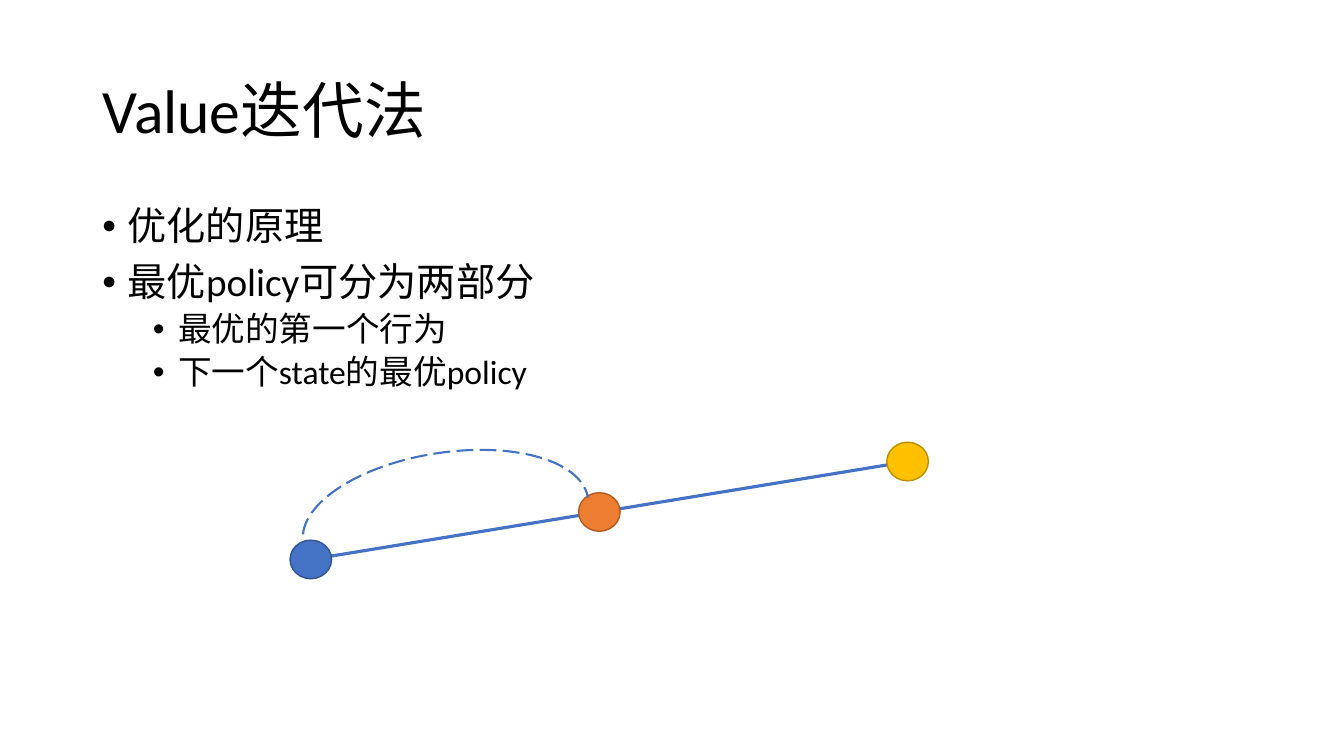
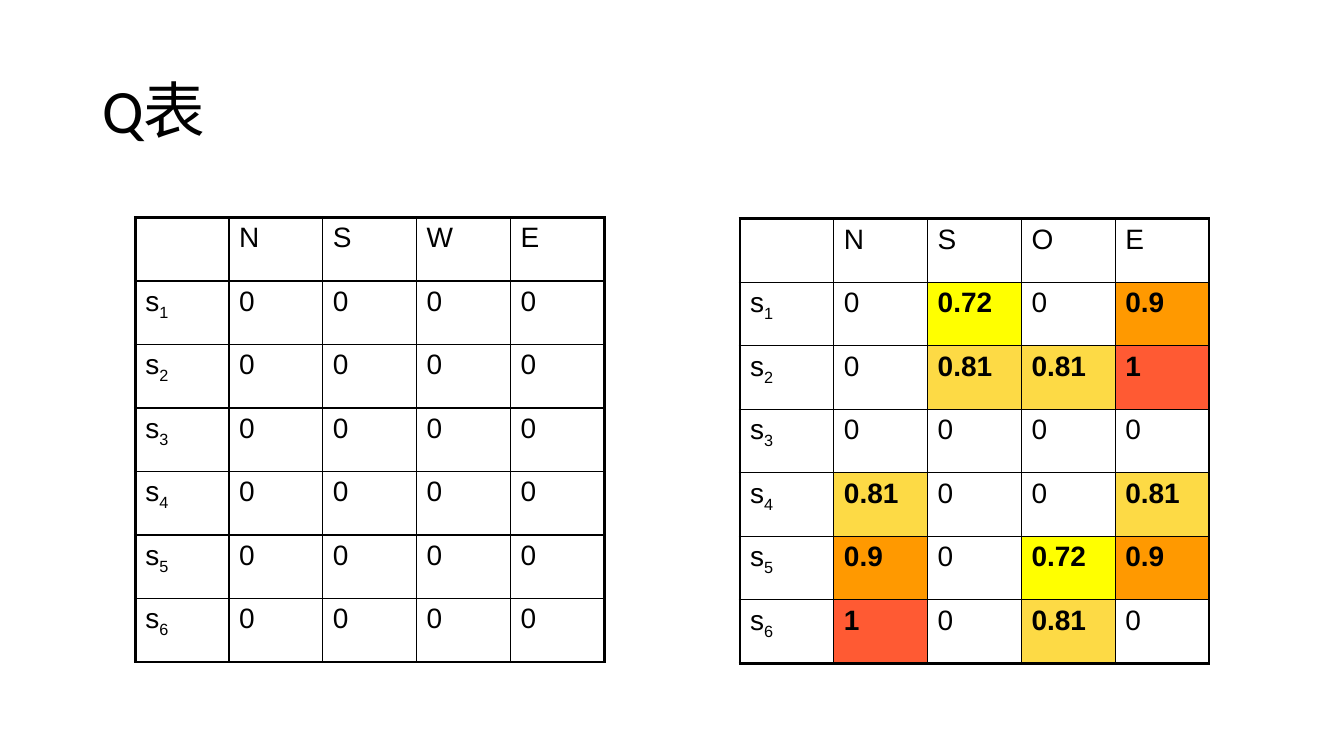
"""Build two slides on value iteration: the policy split and the Q tables."""
from dataclasses import dataclass
from typing import NamedTuple

from lxml.etree import SubElement
from pptx import Presentation
from pptx.dml.color import RGBColor
from pptx.enum.dml import MSO_LINE_DASH_STYLE as Dash
from pptx.enum.shapes import MSO_CONNECTOR as Connector, MSO_SHAPE as Preset
from pptx.enum.text import MSO_ANCHOR as Anchor, MSO_AUTO_SIZE as AutoSize, PP_ALIGN as Align
from pptx.oxml.ns import qn
from pptx.util import Inches, Pt

COLUMNS, ROWS = 160, 90
UNIT = Inches(13.33) / COLUMNS
TITLE_LAYOUT, LIST_LAYOUT = 5, 1
BLACK, WHITE, BLUE = "000000", "FFFFFF", "4472C4"
VALUE_FILLS = {"0.72": "FFFF00", "0.81": "FDDA45", "0.9": "FF9900", "1": "FF5A33"}
OUTER_BORDER, INNER_BORDER = 2.25, 1


class Box(NamedTuple):
    left: float
    top: float
    width: float
    height: float


class Level(NamedTuple):
    size: int
    indent: float
    space_before: int


@dataclass
class Node:
    column: float
    row: float
    fill: str
    line: str


@dataclass
class QTable:
    left: float
    top: float
    actions: str
    values: list[str]


TITLE_BOX = Box(11, 4.8, 138, 17.4)
LIST_BOX = Box(11, 24, 138, 57.1)
ARC_BOX = Box(35.9, 53.9, 34.3, 16)
NODE_WIDTH, NODE_HEIGHT = 4.95, 4.6
CELL_WIDTH, CELL_HEIGHT = 11.17, 7.56
LEVELS = [Level(28, 0.25, 10), Level(24, 0.75, 5)]
LIST_ITEMS = [
    ("优化的原理", 0),
    ("最优policy可分为两部分", 0),
    ("最优的第一个行为", 1),
    ("下一个state的最优policy", 1),
]
NODES = [
    Node(37, 66.6, BLUE, "325491"),
    Node(108.05, 54.95, "FFC000", "BD8E00"),
    Node(71.35, 60.95, "ED7D31", "AF5C24"),
]
Q_TABLES = [
    QTable(88.1, 26.05, "NSOE", [
        "0 0.72 0 0.9",
        "0 0.81 0.81 1",
        "0 0 0 0",
        "0.81 0 0 0.81",
        "0.9 0 0.72 0.9",
        "1 0 0.81 0",
    ]),
    QTable(16.1, 25.9, "NSWE", ["0 0 0 0"] * 6),
]


def grid(count: float) -> int:
    """Return the length of a number of grid units."""
    return round(count * UNIT)


def color(value: str) -> RGBColor:
    """Return the colour of a hex string."""
    return RGBColor.from_string(value)


def place(shape, box: Box) -> None:
    """Move and size a shape on the grid."""
    shape.left, shape.top, shape.width, shape.height = map(grid, box)


def style_font(font, name: str, size: float, bold: bool = False) -> None:
    """Set the face, size and weight of black text."""
    font.name, font.size, font.bold = name, Pt(size), bold
    font.color.rgb = color(BLACK)


def style_line(line, value: str, width: float) -> None:
    """Set the colour and width of a line."""
    line.color.rgb = color(value)
    line.width = Pt(width)


def add_slide(presentation, layout: int, title: str):
    """Add a slide with the shared title style."""
    slide = presentation.slides.add_slide(presentation.slide_layouts[layout])
    shape = slide.shapes.title
    place(shape, TITLE_BOX)
    frame = shape.text_frame
    frame.text = title
    frame.auto_size = AutoSize.NONE
    frame.vertical_anchor = Anchor.MIDDLE
    paragraph = frame.paragraphs[0]
    paragraph.alignment = Align.LEFT
    paragraph.line_spacing = 0.9
    style_font(paragraph.font, "Calibri", 44)
    return slide


def fill_list(shape, items: list[tuple[str, int]]) -> None:
    """Write bulleted items into a body placeholder."""
    place(shape, LIST_BOX)
    frame = shape.text_frame
    frame.text = "\n".join(text for text, _ in items)
    frame.auto_size = AutoSize.NONE
    for paragraph, (_, depth) in zip(frame.paragraphs, items):
        level = LEVELS[depth]
        paragraph.level = depth
        paragraph.line_spacing = 0.9
        paragraph.space_before = Pt(level.space_before)
        style_font(paragraph.font, "Calibri", level.size)
        properties = paragraph._p.get_or_add_pPr()
        properties.set("marL", str(Inches(level.indent)))
        properties.set("indent", str(-Inches(0.25)))
        bullet_font = properties.makeelement(qn("a:buFont"), {"typeface": "Arial"})
        bullet = properties.makeelement(qn("a:buChar"), {"char": "•"})
        properties.find(qn("a:defRPr")).addprevious(bullet_font)
        bullet_font.addnext(bullet)


def add_path(slide, start: Node, end: Node) -> None:
    """Join the centres of two nodes with a straight line."""
    ends = (start.column, start.row, end.column, end.row)
    connector = slide.shapes.add_connector(Connector.STRAIGHT, *map(grid, ends))
    style_line(connector.line, BLUE, 2.25)
    SubElement(connector._element.spPr, qn("a:effectLst"))


def add_node(slide, node: Node) -> None:
    """Draw a state as an oval around its centre."""
    box = Box(node.column - NODE_WIDTH / 2, node.row - NODE_HEIGHT / 2, NODE_WIDTH, NODE_HEIGHT)
    oval = slide.shapes.add_shape(Preset.OVAL, *map(grid, box))
    oval.shadow.inherit = False
    oval.fill.solid()
    oval.fill.fore_color.rgb = color(node.fill)
    style_line(oval.line, node.line, 1)


def add_arc(slide) -> None:
    """Draw the dashed arc over the first step."""
    arc = slide.shapes.add_shape(Preset.ARC, *map(grid, ARC_BOX))
    arc.adjustments[0], arc.adjustments[1] = 109.86, 0
    arc.rotation = 351.1
    arc.shadow.inherit = False
    arc.fill.background()
    style_line(arc.line, BLUE, 1.5)
    arc.line.dash_style = Dash.LONG_DASH


def set_borders(cell, outer_sides: dict[str, bool]) -> None:
    """Draw thick lines on outer sides and thin ones inside."""
    properties = cell._tc.get_or_add_tcPr()
    for side, outer in outer_sides.items():
        width = Pt(OUTER_BORDER if outer else INNER_BORDER)
        line = SubElement(properties, qn(f"a:ln{side}"), w=str(width))
        SubElement(SubElement(line, qn("a:solidFill")), qn("a:srgbClr"), val=BLACK)


def fill_cell(cell, text: str, subscript: str, fill: str) -> None:
    """Write a cell with an optional subscript and a fill."""
    cell.fill.solid()
    cell.fill.fore_color.rgb = color(fill)
    paragraph = cell.text_frame.paragraphs[0]
    style_font(paragraph.font, "Arial", 20)
    for part, baseline in ((text, 0), (subscript, -25000)):
        if part:
            run = paragraph.add_run()
            run.text = part
            style_font(run.font, "Arial", 20, bold=fill != WHITE)
            run._r.get_or_add_rPr().set("baseline", str(baseline))


def add_q_table(slide, q_table: QTable) -> None:
    """Draw one Q table with states down and actions across."""
    lines = [["", *q_table.actions]]
    lines += [[f"s{state}", *values.split()] for state, values in enumerate(q_table.values, 1)]
    row_count, column_count = len(lines), len(lines[0])
    box = Box(q_table.left, q_table.top, column_count * CELL_WIDTH, row_count * CELL_HEIGHT)
    table = slide.shapes.add_table(row_count, column_count, *map(grid, box)).table
    table.first_row = table.horz_banding = False
    for row, texts in enumerate(lines):
        for column, text in enumerate(texts):
            cell = table.cell(row, column)
            set_borders(cell, {
                "L": column == 0,
                "R": column == column_count - 1,
                "T": row == 0,
                "B": row == row_count - 1,
            })
            is_state = column == 0 and row > 0
            subscript = text[1:] if is_state else ""
            fill_cell(cell, text[:1] if is_state else text, subscript, VALUE_FILLS.get(text, WHITE))


def main() -> None:
    """Build and save the presentation."""
    presentation = Presentation()
    presentation.slide_width, presentation.slide_height = grid(COLUMNS), grid(ROWS)

    policy_slide = add_slide(presentation, LIST_LAYOUT, "Value迭代法")
    fill_list(policy_slide.placeholders[1], LIST_ITEMS)
    add_path(policy_slide, NODES[0], NODES[1])
    for node in NODES:
        add_node(policy_slide, node)
    add_arc(policy_slide)

    table_slide = add_slide(presentation, TITLE_LAYOUT, "Q表")
    for q_table in Q_TABLES:
        add_q_table(table_slide, q_table)

    presentation.save("out.pptx")


if __name__ == "__main__":
    main()
